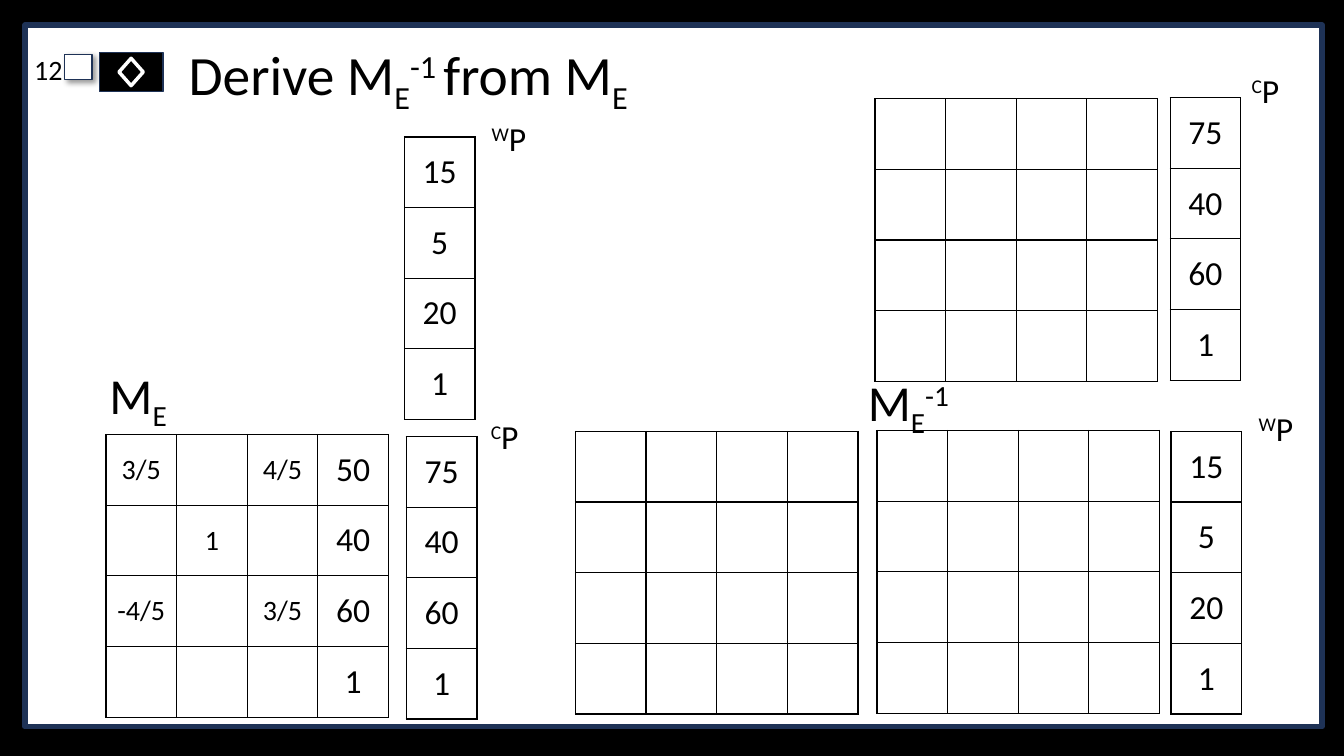
import pptx
import pptx.util
import pptx.dml.color
import pptx.enum.shapes
import pptx.enum.text
import pptx.oxml
import pptx.oxml.ns
import lxml.etree

Cm = pptx.util.Cm
Pt = pptx.util.Pt
RGBColor = pptx.dml.color.RGBColor
MSO_SHAPE = pptx.enum.shapes.MSO_SHAPE
PP_ALIGN = pptx.enum.text.PP_ALIGN
MSO_ANCHOR = pptx.enum.text.MSO_ANCHOR

THEME = {
    "font": "Calibri",
    "ink": RGBColor(0, 0, 0),
    "paper": RGBColor(255, 255, 255),
    "navy": RGBColor(0x1E, 0x32, 0x56),
    "title": 39.6,
    "matrix name": 36,
    "value": 24,
    "small": 20,
}
SUB, NORMAL, SUPER = -25000, 0, 30000
CELL = 1.78


def write(para, pieces, size):
    for words, baseline in pieces:
        span = para.add_run()
        span.text = words
        span.font.name = THEME["font"]
        span.font.size = Pt(THEME[size])
        span.font.color.rgb = THEME["ink"]
        if baseline != NORMAL:
            span.font._element.set("baseline", str(baseline))


def add_grid(left, top, rows):
    columns = len(rows[0])
    frame = page.shapes.add_table(
        len(rows), columns, Cm(left), Cm(top), Cm(CELL * columns), Cm(CELL * len(rows))
    )
    table = frame.table
    table.first_row = False
    table.horz_banding = False
    for column in table.columns:
        column.width = Cm(CELL)
    for row_number, row in enumerate(rows):
        table.rows[row_number].height = Cm(CELL)
        for column_number, value in enumerate(row):
            cell = table.cell(row_number, column_number)
            cell.vertical_anchor = MSO_ANCHOR.MIDDLE
            cell.margin_left = cell.margin_right = Cm(0.1)
            properties = cell._tc.get_or_add_tcPr()
            for side in ("lnL", "lnR", "lnT", "lnB"):
                border = lxml.etree.SubElement(
                    properties, pptx.oxml.ns.qn("a:" + side), w=str(Pt(1))
                )
                paint = lxml.etree.SubElement(border, pptx.oxml.ns.qn("a:solidFill"))
                lxml.etree.SubElement(
                    paint, pptx.oxml.ns.qn("a:srgbClr"), val=str(THEME["ink"])
                )
            cell.fill.background()
            if value:
                para = cell.text_frame.paragraphs[0]
                para.alignment = PP_ALIGN.CENTER
                rotation = columns > 1 and column_number < columns - 1
                write(para, [(value, NORMAL)], "small" if rotation else "value")


deck = pptx.Presentation()
deck.slide_width = Cm(33.87)
deck.slide_height = Cm(19.05)
page = deck.slides.add_slide(deck.slide_layouts[5])
page.background.fill.solid()
page.background.fill.fore_color.rgb = THEME["ink"]

for kind, left, top, width, height, fill, line, weight in [
    (MSO_SHAPE.RECTANGLE, 0.63, 0.63, 32.69, 17.68, "paper", "navy", 4),
    (MSO_SHAPE.RECTANGLE, 2.51, 1.32, 1.6, 0.99, "ink", "navy", 1),
    (MSO_SHAPE.DIAMOND, 3, 1.47, 0.61, 0.69, "ink", "paper", 2.5),
    (MSO_SHAPE.RECTANGLE, 1.63, 1.37, 0.69, 0.64, "paper", "navy", 1),
]:
    shape = page.shapes.add_shape(kind, Cm(left), Cm(top), Cm(width), Cm(height))
    shape.shadow.inherit = False
    shape.fill.solid()
    shape.fill.fore_color.rgb = THEME[fill]
    shape.line.color.rgb = THEME[line]
    shape.line.width = Pt(weight)

checkbox = shape
effects = checkbox._element.spPr.find(pptx.oxml.ns.qn("a:effectLst"))
effects.append(pptx.oxml.parse_xml(
    f'<a:outerShdw {pptx.oxml.ns.nsdecls("a")} blurRad="{Pt(4)}" dist="{Pt(3)}" '
    f'dir="2700000" algn="tl" rotWithShape="0">'
    f'<a:srgbClr val="{THEME["ink"]}"><a:alpha val="40000"/></a:srgbClr></a:outerShdw>'
))

title = page.shapes.title
page.shapes._spTree.append(title._element)
title.left, title.top, title.width, title.height = Cm(4.5), Cm(1.02), Cm(27.05), Cm(1.73)
title.text_frame.auto_size = pptx.enum.text.MSO_AUTO_SIZE.NONE
title.text_frame.vertical_anchor = MSO_ANCHOR.MIDDLE
heading = title.text_frame.paragraphs[0]
heading.alignment = PP_ALIGN.LEFT
heading.line_spacing = 0.9
write(heading, [("Derive M", NORMAL), ("E", SUB), ("-1 ", SUPER),
                ("from M", NORMAL), ("E", SUB)], "title")

world_point = [["15"], ["5"], ["20"], ["1"]]
camera_point = [["75"], ["40"], ["60"], ["1"]]
blank_matrix = [[""] * 4] * 4
camera_matrix = [
    ["3/5", "", "4/5", "50"],
    ["", "1", "", "40"],
    ["-4/5", "", "3/5", "60"],
    ["", "", "", "1"],
]
for left, top, rows in [
    (10.19, 3.45, world_point),
    (10.24, 11, camera_point),
    (14.5, 10.87, blank_matrix),
    (22.1, 10.85, blank_matrix),
    (22.05, 2.49, blank_matrix),
    (2.67, 10.95, camera_matrix),
    (29.49, 2.46, camera_point),
    (29.51, 10.87, world_point),
]:
    add_grid(left, top, rows)

world_label = [("W", SUPER), ("P", NORMAL)]
camera_label = [("C", SUPER), ("P", NORMAL)]
matrix_label = [("M", NORMAL), ("E", SUB)]
for left, top, width, height, pieces, size, align in [
    (-0.05, 1.19, 1.88, 1.14, [("12", NORMAL)], "small", PP_ALIGN.RIGHT),
    (2.51, 9.04, 3.23, 1.8, matrix_label, "matrix name", PP_ALIGN.LEFT),
    (21.62, 9.22, 3.23, 1.8, matrix_label + [("-1", SUPER)], "matrix name", PP_ALIGN.LEFT),
    (12.14, 2.84, 3.23, 1.27, world_label, "value", PP_ALIGN.LEFT),
    (12.12, 10.36, 2.67, 1.27, camera_label, "value", PP_ALIGN.LEFT),
    (31.29, 1.63, 2.5, 1.27, camera_label, "value", PP_ALIGN.LEFT),
    (31.47, 10.16, 2.4, 1.27, world_label, "value", PP_ALIGN.LEFT),
]:
    box = page.shapes.add_textbox(Cm(left), Cm(top), Cm(width), Cm(height))
    box.text_frame.word_wrap = True
    para = box.text_frame.paragraphs[0]
    para.alignment = align
    write(para, pieces, size)

deck.save("out.pptx")
